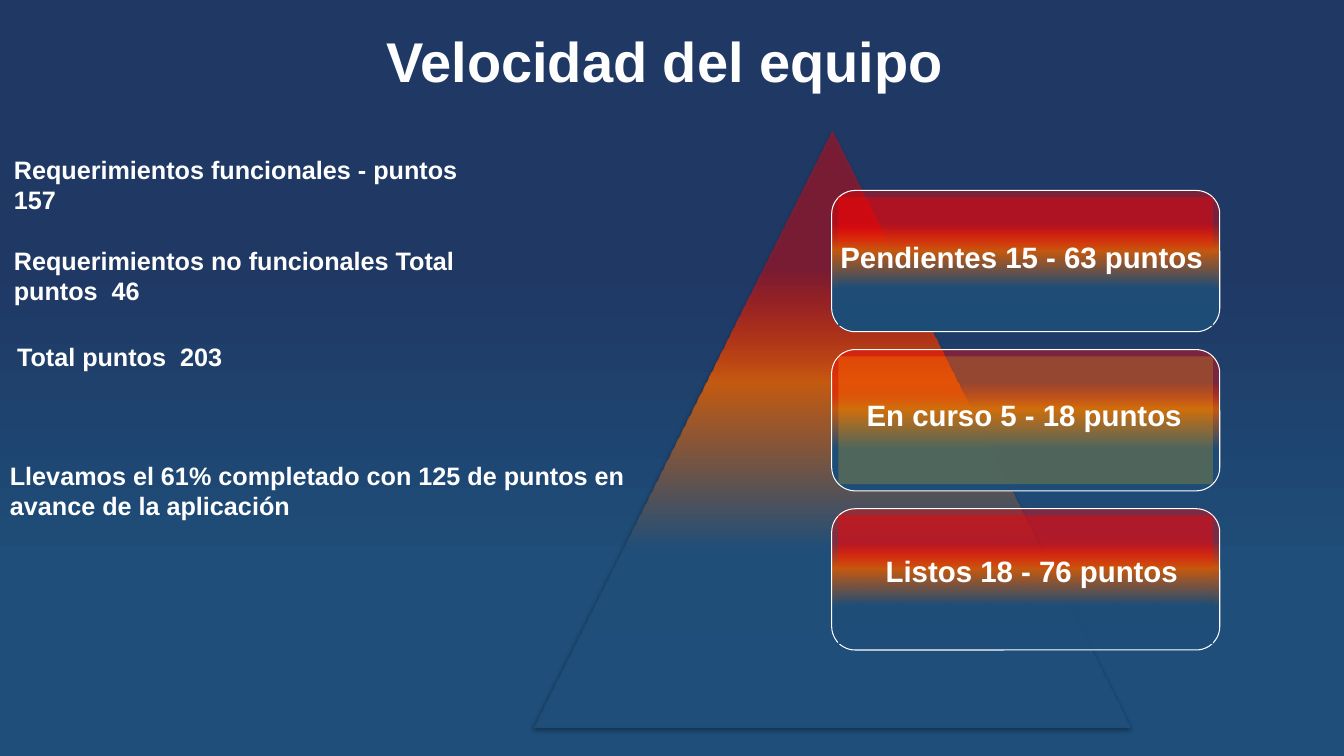
"""Build the team velocity slide with its pyramid and three status cards."""
from typing import Any, NamedTuple

from lxml import etree
from pptx import Presentation
from pptx.dml.color import RGBColor
from pptx.enum.shapes import MSO_SHAPE
from pptx.enum.text import MSO_ANCHOR, MSO_AUTO_SIZE, PP_ALIGN
from pptx.oxml.ns import qn
from pptx.util import Cm, Pt

TRI = MSO_SHAPE.ISOSCELES_TRIANGLE
ROUND = MSO_SHAPE.ROUNDED_RECTANGLE
RECT = MSO_SHAPE.RECTANGLE
TOP = MSO_ANCHOR.TOP
GROW = MSO_AUTO_SIZE.SHAPE_TO_FIT_TEXT
CENTER = PP_ALIGN.CENTER
LEFT = PP_ALIGN.LEFT

FONT = "Arial"
NAVY = RGBColor(0x1F, 0x38, 0x64)
BLUE = RGBColor(0x1E, 0x4E, 0x79)
STEEL = RGBColor(0x1F, 0x4E, 0x79)
RUST = RGBColor(0xC5, 0x5A, 0x11)
RED = RGBColor(0xFF, 0x00, 0x00)
GOLD = RGBColor(0xFF, 0xC0, 0x00)
WHITE = RGBColor(0xFF, 0xFF, 0xFF)
PALE = RGBColor(0xFE, 0xFE, 0xFE)
BLACK = RGBColor(0x00, 0x00, 0x00)


class Box(NamedTuple):
    """Place and size in centimetres."""
    x: float
    y: float
    w: float
    h: float


class Stop(NamedTuple):
    """Gradient stop: position and opacity in percent."""
    pos: int
    color: RGBColor
    alpha: int = 100


class Label(NamedTuple):
    """Text with its box and size in points."""
    text: str
    box: Box
    size: int


SKY = [Stop(0, BLUE), Stop(24, BLUE), Stop(66, NAVY), Stop(100, NAVY)]
FIRE = [Stop(0, BLUE), Stop(2, BLUE), Stop(30, STEEL), Stop(58, RUST),
        Stop(77, RED, 40), Stop(100, RED, 40)]
GLOW = [Stop(0, GOLD, 21), Stop(100, GOLD, 21)]

TITLE = Label("Velocidad del equipo", Box(9.19, 0.53, 15.11, 2.16), 40)
PEAK = Box(13.44, 3.28, 15.06, 15.06)
CARD = Box(20.96, 4.8, 9.78, 3.56)
PITCH = 4.01
INSET = 0.17
PANELS = [FIRE, GLOW, FIRE]
LABELS = [
    Label("Requerimientos funcionales - puntos 157",
          Box(0.1, 3.76, 12.34, 1.8), 18),
    Label("Requerimientos no funcionales Total puntos  46",
          Box(0.1, 6.05, 12.34, 1.8), 18),
    Label("Total puntos  203", Box(0.18, 8.48, 12.34, 1.02), 18),
    Label("Llevamos el 61% completado con 125 de puntos en avance "
          "de la aplicación", Box(0, 11.48, 16.28, 1.8), 18),
    Label("Pendientes 15 - 63 puntos", Box(20.93, 5.89, 11.76, 1.19), 21),
    Label("En curso 5 - 18 puntos", Box(21.59, 9.88, 11.76, 1.14), 21),
    Label("Listos 18 - 76 puntos", Box(22.07, 13.82, 11.76, 1.14), 21),
]


def span(box: Box) -> list[Cm]:
    """Turn a box into lengths."""
    return [Cm(side) for side in box]


def tint(node: Any, color: RGBColor, alpha: int) -> None:
    """Add a colour with opacity to an XML node."""
    shade = etree.SubElement(node, qn("a:srgbClr"), val=str(color))
    if alpha < 100:
        etree.SubElement(shade, qn("a:alpha"), val=str(alpha * 1000))


def blend(fill: Any, root: Any, stops: list[Stop]) -> None:
    """Fill with an upward gradient of the given stops."""
    fill.gradient()
    fill.gradient_angle = 90
    items = next(root.iter(qn("a:gsLst")))
    for old in list(items):
        items.remove(old)
    for stop in stops:
        node = etree.SubElement(items, qn("a:gs"), pos=str(stop.pos * 1000))
        tint(node, stop.color, stop.alpha)


def draw(slide: Any, kind: Any, box: Box, stops: list[Stop]) -> Any:
    """Draw a shape with a gradient and no line."""
    shape = slide.shapes.add_shape(kind, *span(box))
    shape.shadow.inherit = False
    shape.line.fill.background()
    blend(shape.fill, shape.element.spPr, stops)
    return shape


def shade(shape: Any) -> None:
    """Drop a soft shadow below a shape."""
    effects = shape.element.spPr.find(qn("a:effectLst"))
    node = etree.SubElement(effects, qn("a:outerShdw"), blurRad=str(Pt(3.1)),
                            dist=str(Pt(1.8)), dir="5400000", rotWithShape="0")
    tint(node, BLACK, 35)


def write(shape: Any, label: Label, align: Any) -> None:
    """Set the text of a shape in bold pale type."""
    frame = shape.text_frame
    frame.text = label.text
    frame.word_wrap = True
    frame.auto_size = GROW
    frame.vertical_anchor = TOP
    par = frame.paragraphs[0]
    par.alignment = align
    par.font.name = FONT
    par.font.size = Pt(label.size)
    par.font.bold = True
    par.font.color.rgb = PALE


def main() -> None:
    """Build and save the slide."""
    deck = Presentation()
    deck.slide_width, deck.slide_height = Cm(33.87), Cm(19.05)
    slide = deck.slides.add_slide(deck.slide_layouts[5])
    blend(slide.background.fill, slide.element, SKY)

    title = slide.shapes.title
    title.left, title.top, title.width, title.height = span(TITLE.box)
    write(title, TITLE, CENTER)

    shade(draw(slide, TRI, PEAK, FIRE))
    for row, stops in enumerate(PANELS):
        card = CARD._replace(y=CARD.y + row * PITCH)
        frame = draw(slide, ROUND, card, FIRE)
        frame.line.color.rgb = WHITE
        frame.line.width = Pt(0.75)
        panel = Box(card.x + INSET, card.y + INSET,
                    card.w - 2 * INSET, card.h - 2 * INSET)
        draw(slide, RECT, panel, stops)

    for label in LABELS:
        write(slide.shapes.add_textbox(*span(label.box)), label, LEFT)
    deck.save("out.pptx")


if __name__ == "__main__":
    main()
